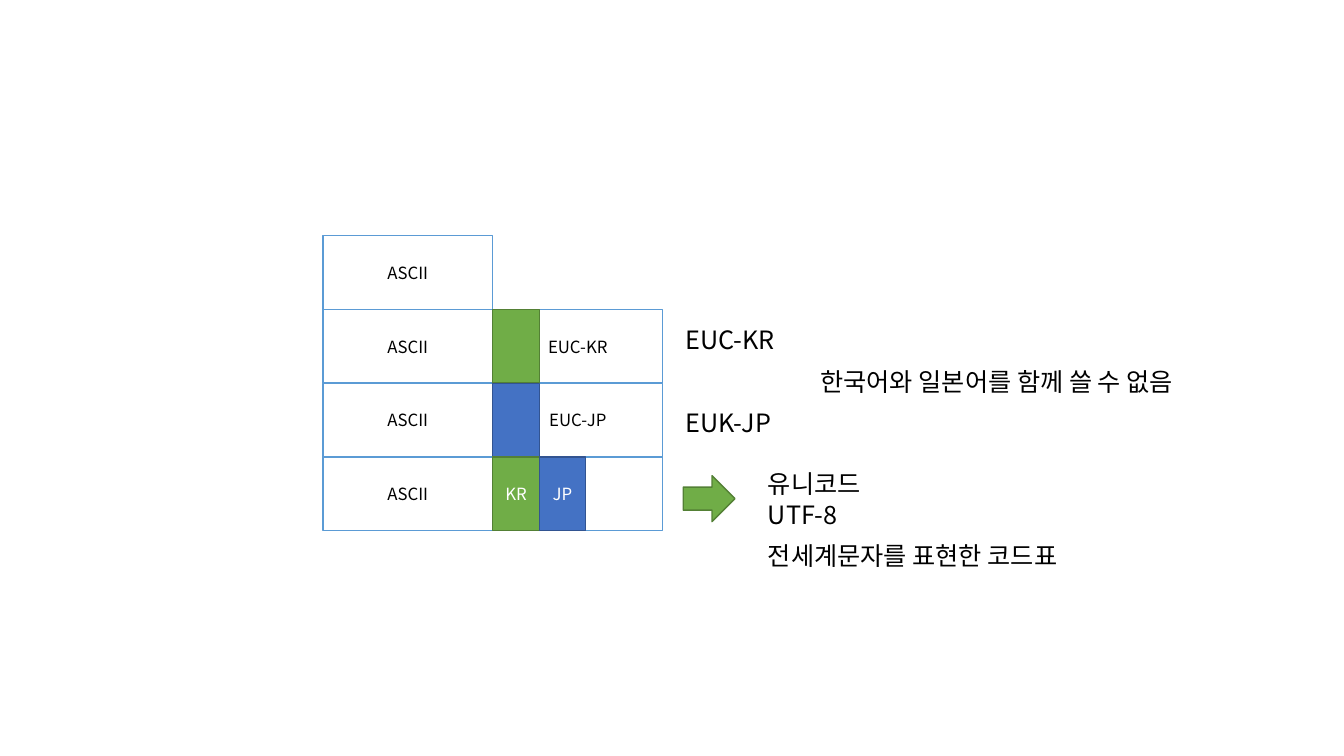
from dataclasses import dataclass

from lxml import etree
from pptx import Presentation
from pptx import util as u
from pptx.dml import color
from pptx.enum import shapes, text
from pptx.oxml import ns


@dataclass(frozen=True)
class Theme:
    font: str = "Noto Sans CJK KR"
    cell_size: int = 12
    note_size: int = 18
    line_width: float = 1
    black: str = "000000"
    white: str = "FFFFFF"
    outline: str = "5B9BD5"
    korean: str = "70AD47"
    korean_line: str = "538035"
    japanese: str = "4472C4"
    japanese_line: str = "325491"


THEME = Theme()
PLAIN = (THEME.white, THEME.outline)
KOREAN = (THEME.korean, THEME.korean_line)
JAPANESE = (THEME.japanese, THEME.japanese_line)


def rgb(value):
    return color.RGBColor.from_string(value)


def write_text(frame, content, size=THEME.note_size, ink=THEME.black,
               align=text.PP_ALIGN.LEFT, anchor=text.MSO_ANCHOR.TOP):
    frame.word_wrap = True
    frame.vertical_anchor = anchor
    for index, line in enumerate(content.split("\n")):
        paragraph = frame.paragraphs[0] if index == 0 else frame.add_paragraph()
        paragraph.alignment = align
        run = paragraph.add_run()
        run.text = line
        run.font.name = THEME.font
        run.font.size = u.Pt(size)
        run.font.color.rgb = rgb(ink)
        east_asian = etree.SubElement(run.font._element, ns.qn("a:ea"))
        east_asian.set("typeface", THEME.font)


def add_block(slide, box, colours, label="", ink=THEME.black,
              kind=shapes.MSO_SHAPE.RECTANGLE):
    shape = slide.shapes.add_shape(kind, *map(u.Pt, box))
    fill, line = colours
    shape.shadow.inherit = False
    shape.fill.solid()
    shape.fill.fore_color.rgb = rgb(fill)
    shape.line.color.rgb = rgb(line)
    shape.line.width = u.Pt(THEME.line_width)
    if label:
        write_text(shape.text_frame, label, size=THEME.cell_size, ink=ink,
                   align=text.PP_ALIGN.CENTER, anchor=text.MSO_ANCHOR.MIDDLE)


def add_note(slide, box, content):
    note = slide.shapes.add_textbox(*map(u.Pt, box))
    write_text(note.text_frame, content)


def add_code_tables(slide, box):
    left, top, width, height = box
    column, row, band = width / 2, height / 4, 33.2
    middle = left + column
    extensions = [None, "EUC-KR", "EUC-JP", ""]
    bands = [[], [("", KOREAN)], [("", JAPANESE)],
             [("KR", KOREAN), ("JP", JAPANESE)]]
    for index, (extension, row_bands) in enumerate(zip(extensions, bands)):
        y = top + index * row
        add_block(slide, (left, y, column, row), PLAIN, "ASCII")
        if extension is not None:
            add_block(slide, (middle, y, column, row), PLAIN, extension)
        for place, (label, colours) in enumerate(row_bands):
            add_block(slide, (middle + place * band, y, band, row),
                      colours, label, ink=THEME.white)


def add_explanations(slide, box):
    left, top, width, height = box
    add_note(slide, (left, top, 106, 29), "EUC-KR")
    add_note(slide, (left + 96.5, top + 30, width - 96.5, 29),
             "한국어와 일본어를 함께 쓸 수 없음")
    add_note(slide, (left, top + 59.2, 106, 29), "EUK-JP")
    add_block(slide, (left + 5.6, top + 111.6, 37, 32.8), KOREAN,
              kind=shapes.MSO_SHAPE.RIGHT_ARROW)
    add_note(slide, (left + 59, top + 103, 106, 51), "유니코드\nUTF-8")
    add_note(slide, (left + 59, top + height - 29, 315, 29),
             "전세계문자를 표현한 코드표")


def main():
    presentation = Presentation()
    presentation.slide_width = u.Pt(960)
    presentation.slide_height = u.Pt(540)
    slide = presentation.slides.add_slide(presentation.slide_layouts[6])
    add_code_tables(slide, (230.6, 168.4, 242.8, 210.6))
    add_explanations(slide, (482.4, 228.2, 414, 183))
    presentation.save("out.pptx")


if __name__ == "__main__":
    main()
